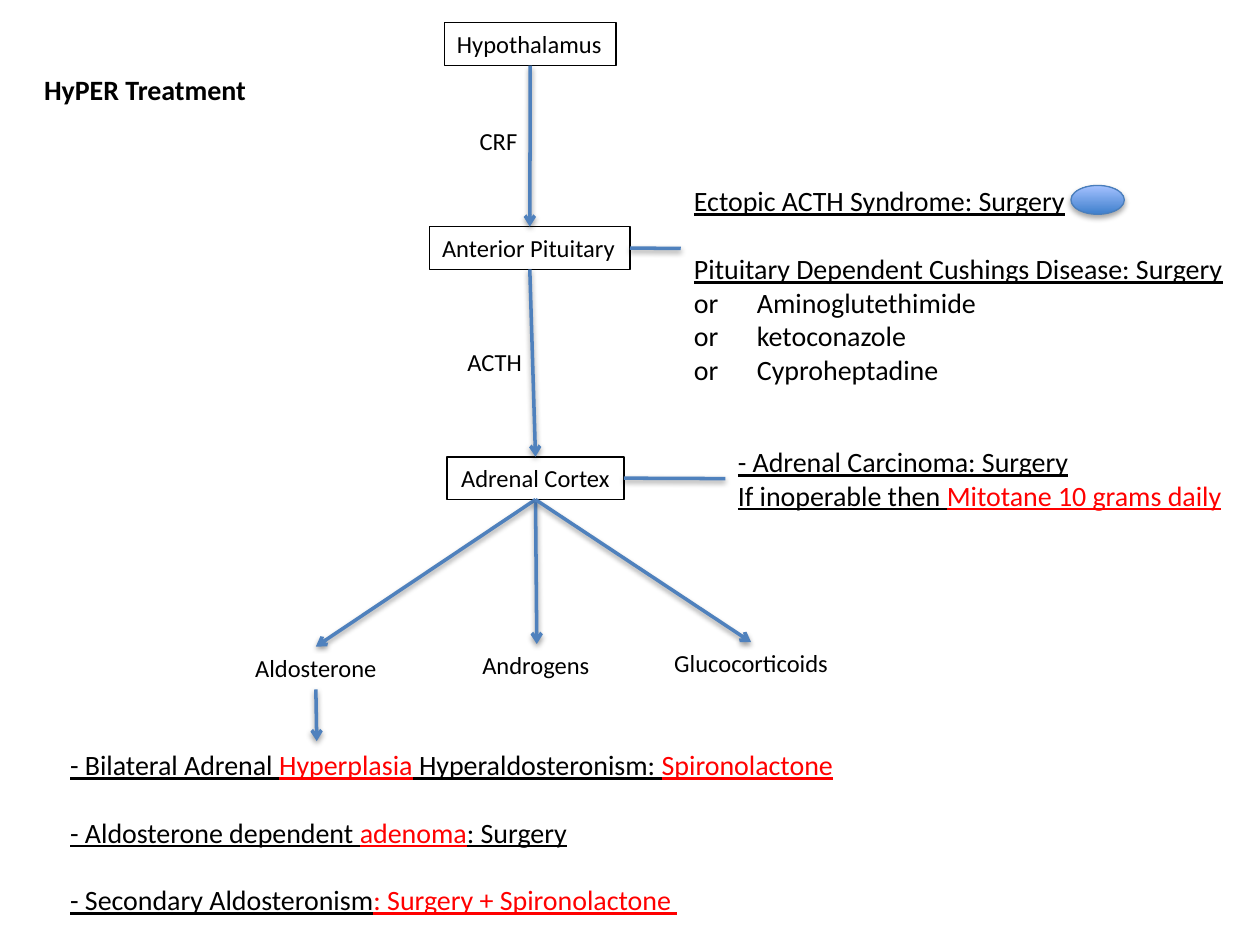
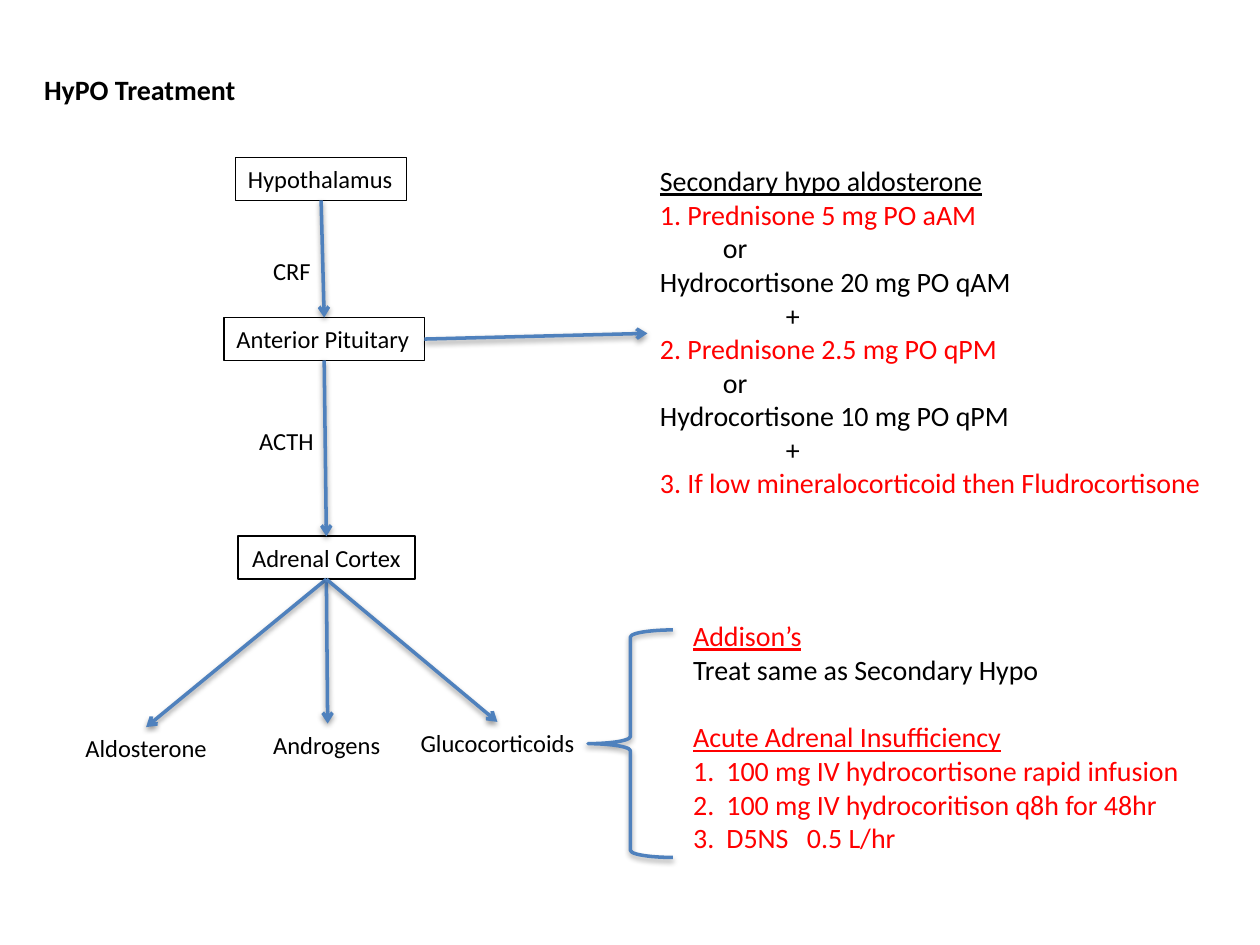
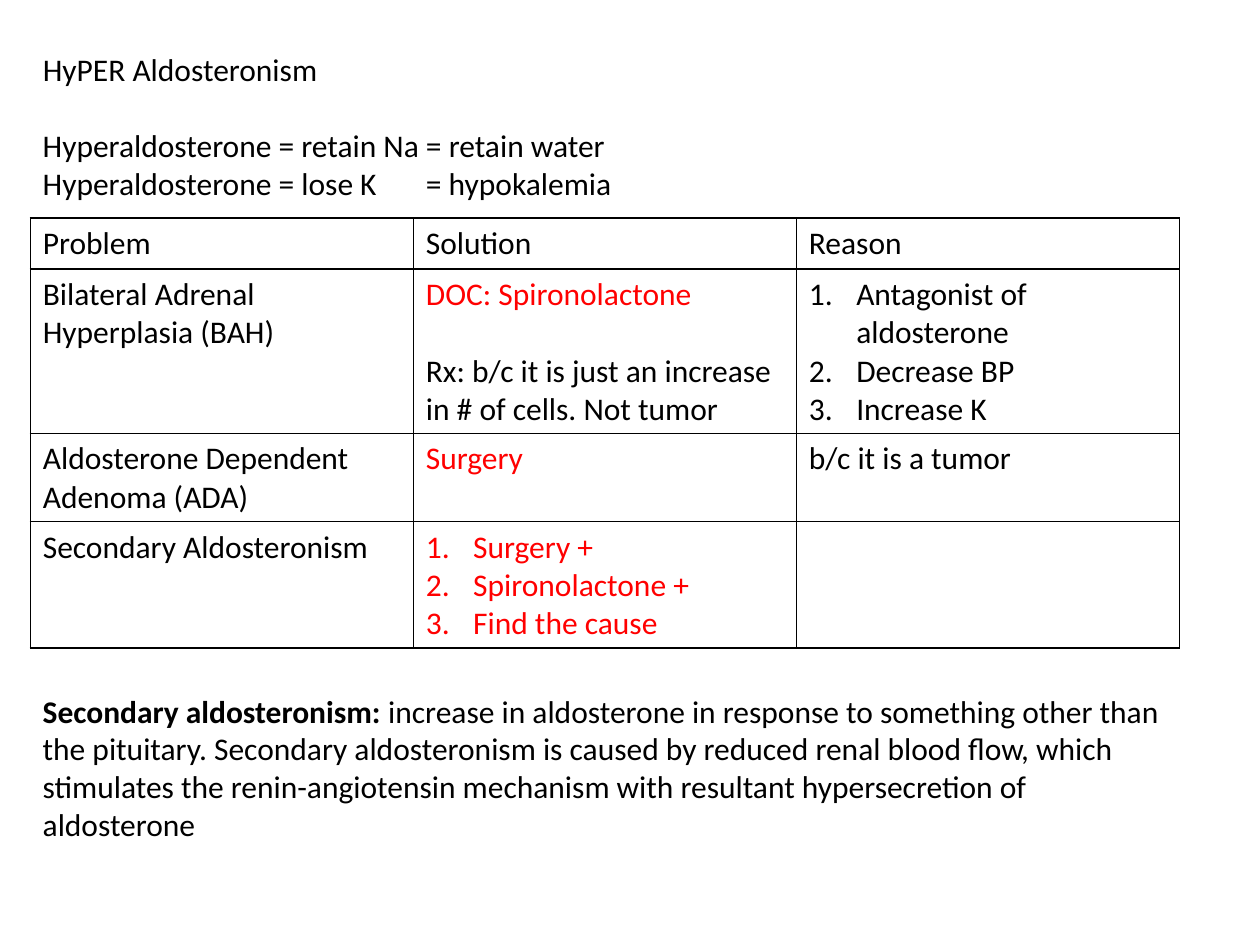
from dataclasses import dataclass

from lxml.etree import SubElement
from pptx import Presentation
from pptx.dml.color import RGBColor
from pptx.enum.shapes import MSO_CONNECTOR, MSO_SHAPE
from pptx.enum.text import MSO_ANCHOR, MSO_AUTO_SIZE, PP_ALIGN
from pptx.oxml.ns import qn
from pptx.util import Pt

BLACK = RGBColor(0x00, 0x00, 0x00)
RED = RGBColor(0xFF, 0x00, 0x00)
BLUE = RGBColor(0x4F, 0x81, 0xBD)
FONT = "Calibri"
LABEL_SIZE, NOTE_SIZE, BODY_SIZE = 14, 16, 18
NOTE_GAP, BODY_GAP = 19.5, 22
LABEL_HEIGHT = 24.5
TOP, LEFT, BOTTOM, RIGHT = range(4)
HALF_INCH_TABS = (36, 72)

# name: (text, width, outline width, alignment)
PATHWAY = {
    "hypothalamus": ("Hypothalamus", 98, 0.75, PP_ALIGN.LEFT),
    "crf": ("CRF", 36, 0, PP_ALIGN.LEFT),
    "pituitary": ("Anterior Pituitary ", 114.5, 0.75, PP_ALIGN.LEFT),
    "acth": ("ACTH", 46, 0, PP_ALIGN.LEFT),
    "cortex": ("Adrenal Cortex", 101, 1, PP_ALIGN.CENTER),
    "aldosterone": ("Aldosterone", 85, 0, PP_ALIGN.CENTER),
    "androgens": ("Androgens", 76.5, 0, PP_ALIGN.LEFT),
    "glucocorticoids": ("Glucocorticoids", 103.5, 0, PP_ALIGN.CENTER),
}
PATHWAY_ARROWS = [
    ("hypothalamus", "pituitary"),
    ("pituitary", "cortex"),
    ("cortex", "aldosterone"),
    ("cortex", "androgens"),
    ("cortex", "glucocorticoids"),
]


@dataclass
class Line:
    """One paragraph; every second piece between bars in its text is red."""
    text: str
    underline: bool = False
    gap: float = 0
    numbered: bool = False


def write_lines(text_frame, lines, size, align=PP_ALIGN.LEFT, bold=False, tabs=()):
    for index, line in enumerate(lines):
        paragraph = text_frame.add_paragraph() if index else text_frame.paragraphs[0]
        properties = paragraph._p.get_or_add_pPr()
        if line.numbered:
            properties.set("marL", str(Pt(27)))
            properties.set("indent", str(Pt(-27)))
            SubElement(properties, qn("a:buAutoNum"), type="arabicPeriod")
        if tabs:
            tab_list = SubElement(properties, qn("a:tabLst"))
            for position in tabs:
                SubElement(tab_list, qn("a:tab"), pos=str(Pt(position)), algn="l")
        paragraph.alignment = align
        if line.gap:
            paragraph.space_before = Pt(line.gap)
        base = RED if line.text.startswith("|") else BLACK
        font = paragraph.font
        font.name, font.size, font.bold = FONT, Pt(size), bold
        font.underline = line.underline
        font.color.rgb = base
        for number, piece in enumerate(line.text.split("|")):
            if not piece:
                continue
            run = paragraph.add_run()
            run.text = piece
            color = RED if number % 2 else BLACK
            if color != base:
                run.font.color.rgb = color


def fit_frame(shape, wrap):
    shape.text_frame.word_wrap = wrap
    shape.text_frame.auto_size = MSO_AUTO_SIZE.SHAPE_TO_FIT_TEXT
    return shape.text_frame


def add_text(slide, box, lines, size, wrap=False, **style):
    shape = slide.shapes.add_textbox(*map(Pt, box))
    write_lines(fit_frame(shape, wrap), lines, size, **style)
    return shape


def set_title(slide, box, text, size, bold=False, wrap=False):
    title = slide.shapes.title
    title.left, title.top, title.width, title.height = map(Pt, box)
    frame = fit_frame(title, wrap)
    frame.vertical_anchor = MSO_ANCHOR.TOP
    write_lines(frame, [Line(text)], size, bold=bold)


def connect(slide, start, end, arrow=True):
    """Draw a line between ends that are (shape, side) or a point in points."""
    line = slide.shapes.add_connector(MSO_CONNECTOR.STRAIGHT, 0, 0, 0, 0)
    if isinstance(end[0], (int, float)):
        line.end_x, line.end_y = map(Pt, end)
    else:
        line.end_connect(*end)
    line.begin_connect(*start)
    line.line.color.rgb = BLUE
    line.line.width = Pt(2)
    if arrow:
        SubElement(line.line._get_or_add_ln(), qn("a:tailEnd"), type="arrow")


def add_pathway(slide, left, top, offsets):
    """Draw the hormone axis, each label offset from the given corner."""
    nodes = {}
    for name, (dx, dy) in offsets.items():
        text, width, outline, align = PATHWAY[name]
        box = (left + dx, top + dy, width, LABEL_HEIGHT)
        node = add_text(slide, box, [Line(text)], LABEL_SIZE, align=align)
        if outline:
            node.line.color.rgb = BLACK
            node.line.width = Pt(outline)
        nodes[name] = node
    for upper, lower in PATHWAY_ARROWS:
        connect(slide, (nodes[upper], BOTTOM), (nodes[lower], TOP))
    return nodes


def build_hyper_treatment(slide):
    set_title(slide, (18, 38, 132.5, 26.5), "HyPER Treatment", NOTE_SIZE, bold=True)
    nodes = add_pathway(slide, 254, 13, {
        "hypothalamus": (0, 0),
        "crf": (13, 55.5),
        "pituitary": (-8.5, 116.5),
        "acth": (6, 181.5),
        "cortex": (1.5, 248),
        "aldosterone": (-116, 356.5),
        "androgens": (14.5, 355),
        "glucocorticoids": (123.5, 354),
    })
    carcinoma = add_text(slide, (414.5, 250.5, 295.5, 46), [
        Line("- Adrenal Carcinoma: Surgery", underline=True),
        Line("If inoperable then |Mitotane 10 grams daily", underline=True),
    ], NOTE_SIZE)
    add_text(slide, (389.5, 101.5, 321, 124), [
        Line("Ectopic ACTH Syndrome: Surgery", underline=True),
        Line("Pituitary Dependent Cushings Disease: Surgery", underline=True, gap=NOTE_GAP),
        Line("or\tAminoglutethimide"),
        Line("or\tketoconazole"),
        Line("or\tCyproheptadine"),
    ], NOTE_SIZE, tabs=HALF_INCH_TABS)
    add_text(slide, (33, 423.5, 454.5, 104.5), [
        Line("- Bilateral Adrenal |Hyperplasia| Hyperaldosteronism: |Spironolactone",
             underline=True),
        Line("- Aldosterone dependent |adenoma|: Surgery", underline=True, gap=NOTE_GAP),
        Line("- Secondary Aldosteronism|: Surgery + Spironolactone ",
             underline=True, gap=NOTE_GAP),
    ], NOTE_SIZE)
    connect(slide, (nodes["aldosterone"], BOTTOM), (181, 423.5))
    connect(slide, (nodes["cortex"], RIGHT), (carcinoma, LEFT), arrow=False)
    connect(slide, (nodes["pituitary"], RIGHT), (389, 142), arrow=False)
    # The theme style supplies the oval's gradient, outline and shadow.
    slide.shapes.add_shape(MSO_SHAPE.OVAL, Pt(612), Pt(106), Pt(30.5), Pt(16.5))


def build_hypo_treatment(slide):
    set_title(slide, (18, 38, 126.5, 26.5), "HyPO Treatment", NOTE_SIZE, bold=True)
    nodes = add_pathway(slide, 134.5, 90, {
        "hypothalamus": (0, 0),
        "crf": (14.5, 52.5),
        "pituitary": (-6.5, 91.5),
        "acth": (6.5, 150),
        "cortex": (1.5, 216.5),
        "aldosterone": (-93.5, 325.5),
        "androgens": (14.5, 323.5),
        "glucocorticoids": (98, 322.5),
    })
    secondary = add_text(slide, (370, 90, 328.5, 201), [
        Line("Secondary hypo aldosterone", underline=True),
        Line("|1. Prednisone 5 mg PO aAM"),
        Line("\tor"),
        Line("Hydrocortisone 20 mg PO qAM"),
        Line("\t\t+"),
        Line("|2. Prednisone 2.5 mg PO qPM"),
        Line("\tor"),
        Line("Hydrocortisone 10 mg PO qPM"),
        Line("\t\t+"),
        Line("|3. If low mineralocorticoid then Fludrocortisone"),
    ], NOTE_SIZE, tabs=HALF_INCH_TABS)
    connect(slide, (nodes["pituitary"], RIGHT), (secondary, LEFT))
    add_text(slide, (389, 350, 297.5, 143.5), [
        Line("|Addison’s", underline=True),
        Line("Treat same as Secondary Hypo"),
        Line("|Acute Adrenal Insufficiency", underline=True, gap=NOTE_GAP),
        Line("|1.\t100 mg IV hydrocortisone rapid infusion"),
        Line("|2.\t100 mg IV hydrocoritison q8h for 48hr"),
        Line("|3.\tD5NS\t0.5 L/hr"),
    ], NOTE_SIZE, tabs=(19, 65))
    brace = slide.shapes.add_shape(
        MSO_SHAPE.LEFT_BRACE, Pt(336), Pt(360), Pt(48.5), Pt(130))
    brace.fill.background()
    brace.line.color.rgb = BLUE
    brace.line.width = Pt(2)


def add_borders(cell):
    properties = cell._tc.get_or_add_tcPr()
    for side in ("lnL", "lnR", "lnT", "lnB"):
        border = SubElement(properties, qn(f"a:{side}"), w=str(Pt(1)))
        fill = SubElement(border, qn("a:solidFill"))
        SubElement(fill, qn("a:srgbClr"), val=str(BLACK))


def add_solution_table(slide, left, top, column_width, row_heights, rows):
    columns = len(rows[0])
    table = slide.shapes.add_table(
        len(rows), columns, Pt(left), Pt(top),
        Pt(column_width * columns), Pt(sum(row_heights))).table
    table.first_row = table.horz_banding = False
    for column in table.columns:
        column.width = Pt(column_width)
    for row, height, contents in zip(table.rows, row_heights, rows):
        row.height = Pt(height)
        for cell, lines in zip(row.cells, contents):
            add_borders(cell)
            cell.fill.background()
            write_lines(cell.text_frame, lines, BODY_SIZE)


def numbered(*texts):
    return [Line(text, numbered=True) for text in texts]


def build_hyper_aldosteronism(slide):
    left = 17.3
    set_title(slide, (left, 25.2, 669, 29.2), "HyPER Aldosteronism", BODY_SIZE, wrap=True)
    add_text(slide, (left, 68.7, 669, 51), [
        Line("Hyperaldosterone = retain Na = retain water"),
        Line("Hyperaldosterone = lose K\t= hypokalemia"),
    ], BODY_SIZE, wrap=True, tabs=(219,))
    add_solution_table(slide, left, 124.6, 218.9, (29, 94, 50.5, 72), [
        [[Line("Problem")], [Line("Solution")], [Line("Reason")]],
        [
            [Line("Bilateral Adrenal Hyperplasia (BAH)")],
            [Line("|DOC: Spironolactone"),
             Line("Rx: b/c it is just an increase in # of cells. Not tumor", gap=BODY_GAP)],
            numbered("Antagonist of aldosterone", "Decrease BP", "Increase K"),
        ],
        [
            [Line("Aldosterone Dependent Adenoma (ADA)")],
            [Line("|Surgery")],
            [Line("b/c it is a tumor")],
        ],
        [
            [Line("Secondary Aldosteronism")],
            numbered("|Surgery +", "|Spironolactone +", "|Find the cause"),
            [Line("")],
        ],
    ])
    definition = add_text(slide, (left, 391.7, 656.7, 94.5),
                          [Line("Secondary aldosteronism: ")], BODY_SIZE, wrap=True)
    paragraph = definition.text_frame.paragraphs[0]
    paragraph.runs[0].font.bold = True
    paragraph.add_run().text = (
        "increase in aldosterone in response to something other than the pituitary. "
        "Secondary aldosteronism is caused by reduced renal blood flow, which stimulates "
        "the renin-angiotensin mechanism with resultant hypersecretion of aldosterone")


def main():
    presentation = Presentation()
    presentation.slide_width, presentation.slide_height = Pt(720), Pt(540)
    title_only = presentation.slide_layouts[5]
    for build in (build_hyper_treatment, build_hypo_treatment, build_hyper_aldosteronism):
        build(presentation.slides.add_slide(title_only))
    presentation.save("out.pptx")


if __name__ == "__main__":
    main()
